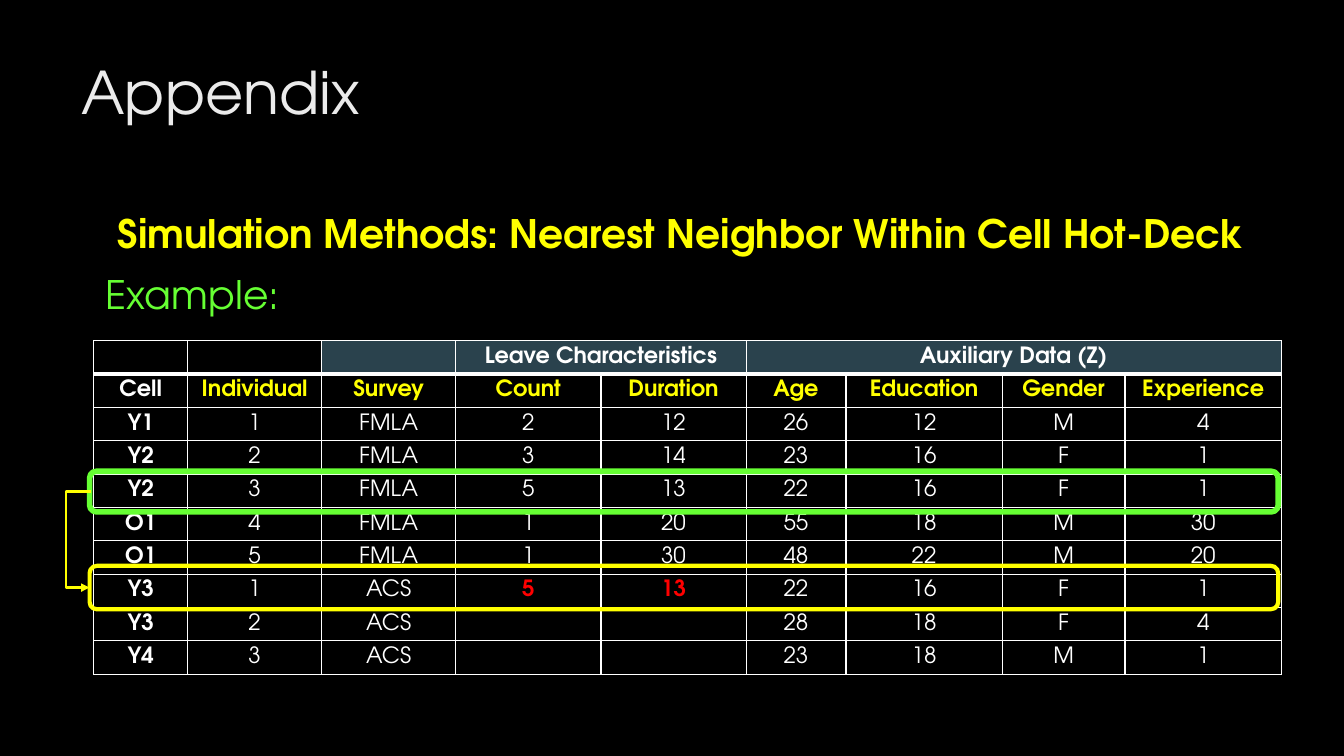
from lxml import etree
from pptx import Presentation
from pptx.dml.color import RGBColor
from pptx.enum.shapes import MSO_CONNECTOR, MSO_SHAPE
from pptx.enum.text import MSO_ANCHOR, MSO_AUTO_SIZE, PP_ALIGN
from pptx.oxml.ns import qn
from pptx.util import Pt

LEFT, CENTER = PP_ALIGN.LEFT, PP_ALIGN.CENTER
TOP, MIDDLE = MSO_ANCHOR.TOP, MSO_ANCHOR.MIDDLE
NO_FIT = MSO_AUTO_SIZE.NONE
ROUNDED, ELBOW = MSO_SHAPE.ROUNDED_RECTANGLE, MSO_CONNECTOR.ELBOW

FONT = "TeX Gyre Adventor"
COLORS = {
    "black": "000000", "white": "FFFFFF", "title": "EBEBEB", "band": "2A424D",
    "yellow": "FFFF00", "green": "66FF33", "red": "FF0000",
}

# Table content
COLUMN_WIDTHS = [67, 95.8, 95.8, 103.7, 103.7, 71.3, 111.6, 87.8, 111.6]
ROW_HEIGHT = 23.83
RECORDS = [
    ["", "", "", "Leave Characteristics", "", "Auxiliary Data (Z)", "", "", ""],
    ["Cell", "Individual", "Survey", "Count", "Duration", "Age", "Education",
     "Gender", "Experience"],
    ["Y1", "1", "FMLA", "2", "12", "26", "12", "M", "4"],
    ["Y2", "2", "FMLA", "3", "14", "23", "16", "F", "1"],
    ["Y2", "3", "FMLA", "5", "13", "22", "16", "F", "1"],
    ["O1", "4", "FMLA", "1", "20", "55", "18", "M", "30"],
    ["O1", "5", "FMLA", "1", "30", "48", "22", "M", "20"],
    ["Y3", "1", "ACS", "5", "13", "22", "16", "F", "1"],
    ["Y3", "2", "ACS", "", "", "28", "18", "F", "4"],
    ["Y4", "3", "ACS", "", "", "23", "18", "M", "1"],
]
HEADER_SPANS = [(3, 4), (5, 8)]
BLACK_ROWS = {1, 3, 4, 7, 8}
IMPUTED = {(7, 3), (7, 4)}


def rgb(name):
    return RGBColor.from_string(COLORS[name])


def set_all(target, values):
    for key, value in values.items():
        setattr(target, key, value)


class SlideBuilder:
    def __init__(self, slide, font):
        self.slide = slide
        self.font = font
        background = slide.background.fill
        background.solid()
        background.fore_color.rgb = rgb("black")

    def add_text(self, frame, text, size, color, bold=False, align=LEFT):
        paragraph = frame.paragraphs[0]
        paragraph.alignment = align
        run = paragraph.add_run()
        run.text = text
        set_all(run.font, {"name": self.font, "size": Pt(size), "bold": bold})
        run.font.color.rgb = rgb(color)
        return paragraph

    def place(self, shape, box, text, size, color, bold=False):
        set_all(shape, dict(zip(("left", "top", "width", "height"), map(Pt, box))))
        set_all(shape.text_frame, {"word_wrap": True, "vertical_anchor": TOP,
                                   "auto_size": NO_FIT})
        return self.add_text(shape.text_frame, text, size, color, bold)

    def subtitle(self, placeholder, box, text, size, color):
        paragraph = self.place(placeholder, box, text, size, color, bold=True)
        set_all(paragraph, {"level": 2, "space_before": Pt(8.4), "space_after": Pt(8.4)})
        properties = paragraph._p.get_or_add_pPr()
        properties.set("marL", str(Pt(8.64)))
        properties.set("indent", "0")
        etree.SubElement(properties, qn("a:buNone"))

    def label(self, box, *style):
        self.place(self.slide.shapes.add_textbox(*map(Pt, box)), box, *style)

    def borders(self, cell, top, bottom):
        properties = cell._tc.get_or_add_tcPr()
        sides = (("a:lnL", 1), ("a:lnR", 1), ("a:lnT", top), ("a:lnB", bottom))
        for position, (tag, width) in enumerate(sides):
            line = etree.Element(qn(tag), w=str(Pt(width)))
            fill = etree.SubElement(line, qn("a:solidFill"))
            etree.SubElement(fill, qn("a:srgbClr"), val=COLORS["white"])
            properties.insert(position, line)

    def cell(self, cell, row, column, text):
        set_all(cell, {"margin_left": Pt(5), "margin_right": Pt(5), "margin_top": 0,
                       "margin_bottom": 0, "vertical_anchor": MIDDLE})
        if row == 0 and column >= 2:
            fill = "band"
        else:
            fill = "black" if row in BLACK_ROWS and (row > 1 or column) else None
        if fill:
            cell.fill.solid()
            cell.fill.fore_color.rgb = rgb(fill)
        else:
            cell.fill.background()
        self.borders(cell, 3 if row == 1 else 1, 3 if row == 0 else 1)
        if text:
            imputed = (row, column) in IMPUTED
            heading = row == 1 and column > 0
            color = "red" if imputed else "yellow" if heading else "white"
            bold = row < 2 or column == 0 or imputed
            self.add_text(cell.text_frame, text, 16, color, bold, CENTER)

    def table(self, left, top, widths, row_height, records):
        size = (sum(widths), row_height * len(records))
        table = self.slide.shapes.add_table(
            len(records), len(widths), *map(Pt, (left, top, *size))).table
        set_all(table, {"first_row": False, "horz_banding": False})
        for column, width in zip(table.columns, widths):
            column.width = Pt(width)
        for row, record in enumerate(records):
            table.rows[row].height = Pt(row_height)
            for column, text in enumerate(record):
                self.cell(table.cell(row, column), row, column, text)
        for first, last in HEADER_SPANS:
            table.cell(0, first).merge(table.cell(0, last))

    def frame(self, group, box, color, width):
        frame = group.shapes.add_shape(ROUNDED, *map(Pt, box))
        frame.shadow.inherit = False
        frame.fill.background()
        frame.line.color.rgb = rgb(color)
        frame.line.width = Pt(width)

    def elbow_arrow(self, group, start, end, reach, color, width):
        arrow = group.shapes.add_connector(ELBOW, *map(Pt, (*start, *end)))
        arrow.line.color.rgb = rgb(color)
        arrow.line.width = Pt(width)
        properties = arrow._element.spPr
        # The bend lies outside the ends, as a share of their horizontal distance
        bend = round(reach / (start[0] - end[0]) * 100000)
        guides = properties.find(qn("a:prstGeom")).get_or_add_avLst()
        etree.SubElement(guides, qn("a:gd"), name="adj1", fmla=f"val {bend}")
        etree.SubElement(properties.find(qn("a:ln")), qn("a:tailEnd"), type="triangle")
        etree.SubElement(properties, qn("a:effectLst"))


def main():
    deck = Presentation()
    set_all(deck, {"slide_width": Pt(960), "slide_height": Pt(540)})
    slide = deck.slides.add_slide(deck.slide_layouts[1])
    builder = SlideBuilder(slide, FONT)

    # Headings
    builder.place(slide.shapes.title, (51, 36, 741, 110), "Appendix", 42, "title")
    builder.subtitle(slide.placeholders[1], (68.4, 146.2, 840.2, 58.3),
                     "Simulation Methods: Nearest Neighbor Within Cell Hot-Deck",
                     28, "yellow")
    builder.label((68.4, 189.4, 807.8, 41), "Example:", 28, "green")

    # Donor and recipient records
    builder.table(67, 243.4, COLUMN_WIDTHS, ROW_HEIGHT, RECORDS)

    # Matched rows and the arrow from donor to recipient
    match = slide.shapes.add_group_shape()
    builder.frame(match, (64, 336.6, 849, 29), "green", 4)
    builder.frame(match, (64, 404.2, 849, 31), "yellow", 3)
    builder.elbow_arrow(match, (65, 351), (64, 419.7), 18, "yellow", 2)

    deck.save("out.pptx")


if __name__ == "__main__":
    main()
